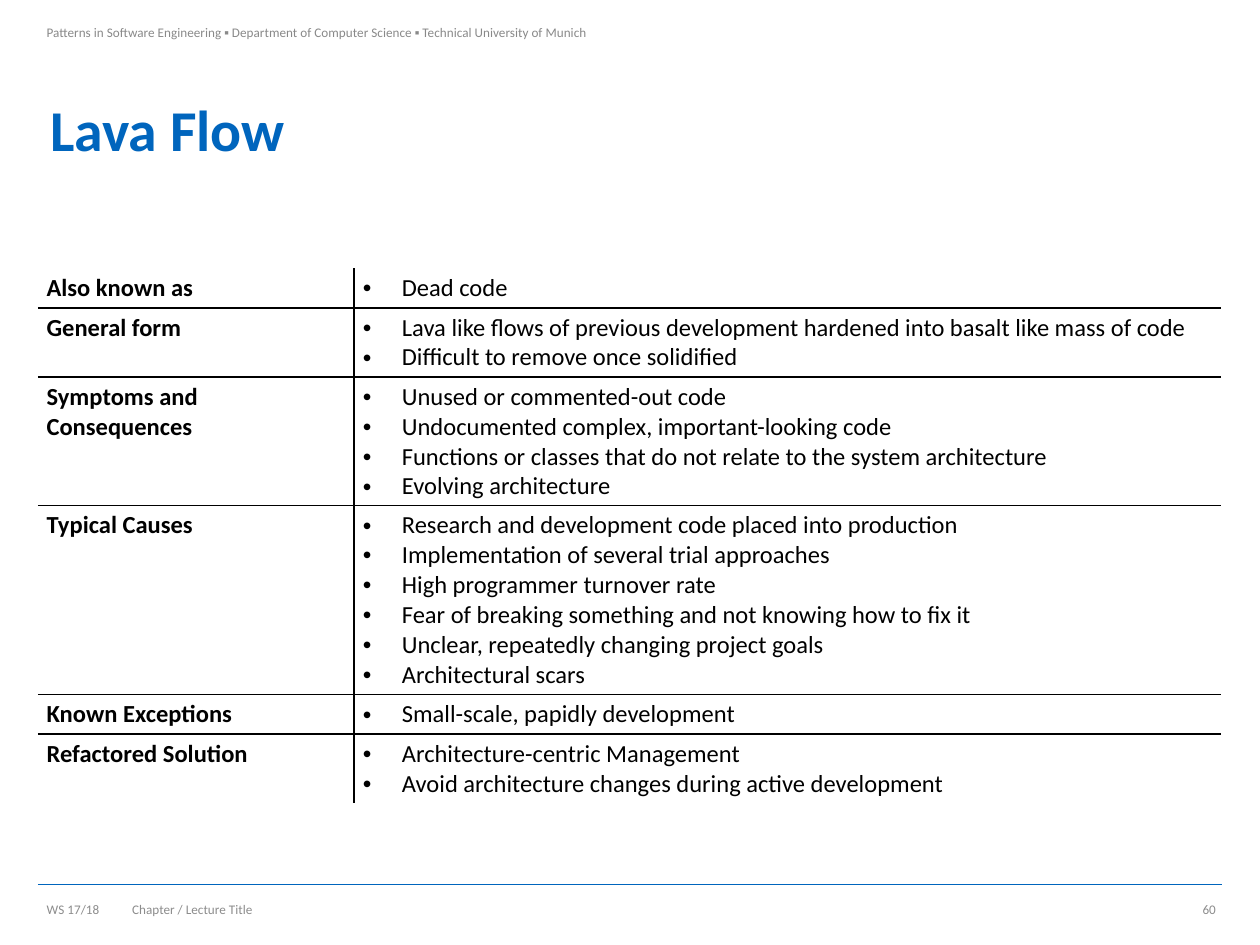
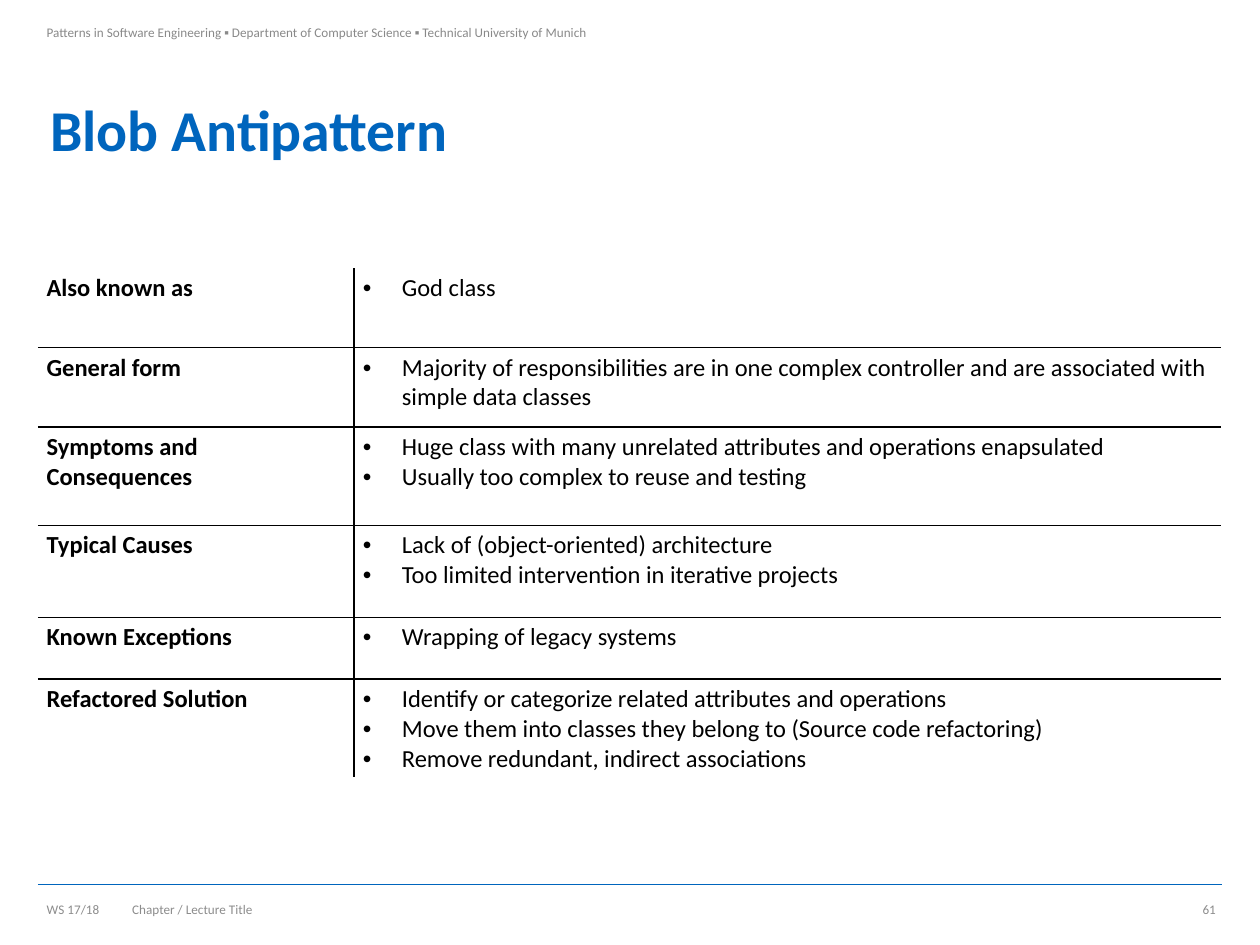
from dataclasses import dataclass
from typing import Any

from lxml.etree import SubElement
from pptx import Presentation
from pptx.dml.color import RGBColor
from pptx.enum.shapes import MSO_CONNECTOR
from pptx.enum.text import MSO_ANCHOR, PP_ALIGN
from pptx.oxml.ns import qn
from pptx.util import Inches, Pt

BLUE = RGBColor(0x00, 0x65, 0xBD)
BLACK = RGBColor(0x00, 0x00, 0x00)
HEADER_GRAY = RGBColor(0x89, 0x89, 0x89)
FOOTER_GRAY = RGBColor(0x8C, 0x8C, 0x8C)

FONT = "Calibri"
NO_STYLE = "{2D5ABB26-0587-4C30-8999-92F81FD0307C}"
LEFT, WIDTH = 0.3, 9.39
TABLE_TOP = 2.13
LABEL_WIDTH = 2.51
BULLET_INDENT = Inches(0.31)

SMALL = {"name": FONT, "size": Pt(7.5)}
TITLE = {"name": FONT, "size": Pt(33), "bold": True}
LABEL = {"name": FONT, "size": Pt(14), "bold": True}
ENTRY = {**LABEL, "bold": False}

ASPECTS = ["Also known as", "General form", "Symptoms and Consequences",
           "Typical Causes", "Known Exceptions", "Refactored Solution"]


@dataclass(frozen=True)
class TextBox:
    left: float
    top: float
    width: float
    height: float
    font: dict[str, Any]
    color: RGBColor
    margins: tuple[float, float, float, float] = (0.1, 0.05, 0.1, 0.05)
    anchor: MSO_ANCHOR = MSO_ANCHOR.MIDDLE
    align: PP_ALIGN = PP_ALIGN.LEFT
    line_spacing: float = 1.0


@dataclass(frozen=True)
class Antipattern:
    name: str
    number: int
    heights: list[float]
    entries: list[list[str]]


NARROW = (0.04, 0.05, 0.04, 0.05)
HEADER_BOX = TextBox(LEFT, 0, 4.7, 0.68, SMALL, HEADER_GRAY,
                     (0.07, 0.19, 0.1, 0.05), MSO_ANCHOR.TOP)
TITLE_BOX = TextBox(LEFT, 0.68, WIDTH, 0.74, TITLE, BLUE, line_spacing=0.9)
TERM_BOX = TextBox(LEFT, 7.1, 0.56, 0.23, SMALL, FOOTER_GRAY, NARROW,
                   align=PP_ALIGN.CENTER)
NUMBER_BOX = TextBox(9.25, 7.1, 0.44, 0.23, SMALL, FOOTER_GRAY, NARROW,
                     align=PP_ALIGN.RIGHT)
CHAPTER_BOX = TextBox(0.95, 7.1, 6.46, 0.24, SMALL, FOOTER_GRAY)

ANTIPATTERNS = [
    Antipattern("Lava Flow", 60, [0.31, 0.55, 1.02, 1.5, 0.31, 0.55], [
        ["Dead code"],
        ["Lava like flows of previous development hardened into basalt "
         "like mass of code",
         "Difficult to remove once solidified"],
        ["Unused or commented-out code",
         "Undocumented complex, important-looking code",
         "Functions or classes that do not relate to the system architecture",
         "Evolving architecture"],
        ["Research and development code placed into production",
         "Implementation of several trial approaches",
         "High programmer turnover rate",
         "Fear of breaking something and not knowing how to fix it",
         "Unclear, repeatedly changing project goals",
         "Architectural scars"],
        ["Small-scale, papidly development"],
        ["Architecture-centric Management",
         "Avoid architecture changes during active development"],
    ]),
    Antipattern("Blob Antipattern", 61, [0.63, 0.63, 0.78, 0.73, 0.49, 0.78], [
        ["God class"],
        ["Majority of responsibilities are in one complex controller and "
         "are associated with simple data classes"],
        ["Huge class with many unrelated attributes and operations enapsulated",
         "Usually too complex to reuse and testing"],
        ["Lack of (object-oriented) architecture",
         "Too limited intervention in iterative projects"],
        ["Wrapping of legacy systems"],
        ["Identify or categorize related attributes and operations",
         "Move them into classes they belong to (Source code refactoring)",
         "Remove redundant, indirect associations"],
    ]),
]


def apply(target: Any, values: dict[str, Any]) -> None:
    for key, value in values.items():
        setattr(target, key, value)


def margins(left: float, top: float, right: float, bottom: float) -> dict[str, Any]:
    return {"margin_left": Inches(left), "margin_top": Inches(top),
            "margin_right": Inches(right), "margin_bottom": Inches(bottom)}


def add_run(p: Any, text: str, font: dict[str, Any], color: RGBColor) -> None:
    r = p.add_run()
    r.text = text
    apply(r.font, font)
    r.font.color.rgb = color


def add_text(s: Any, box: TextBox, text: str) -> None:
    sp = s.shapes.add_textbox(Inches(box.left), Inches(box.top),
                              Inches(box.width), Inches(box.height))
    tf = sp.text_frame
    apply(tf, {"word_wrap": True, "vertical_anchor": box.anchor,
               **margins(*box.margins)})
    p = tf.paragraphs[0]
    apply(p, {"alignment": box.align, "line_spacing": box.line_spacing})
    add_run(p, text, box.font, box.color)


def add_rule(s: Any) -> None:
    line = s.shapes.add_connector(MSO_CONNECTOR.STRAIGHT, Inches(LEFT),
                                  Inches(7.02), Inches(9.7), Inches(7.02))
    line.line.color.rgb = BLUE
    line.line.width = Pt(0.5)
    SubElement(line.element.spPr, qn("a:effectLst"))


def add_bullet(p: Any) -> None:
    pPr = p._p.get_or_add_pPr()
    pPr.set("marL", str(BULLET_INDENT))
    pPr.set("indent", str(-BULLET_INDENT))
    SubElement(pPr, qn("a:buFont"), typeface="Arial")
    SubElement(pPr, qn("a:buChar"), char="•")


def set_borders(cell: Any, visible: dict[str, bool]) -> None:
    tcPr = cell._tc.get_or_add_tcPr()
    for side, shown in visible.items():
        ln = SubElement(tcPr, qn(f"a:ln{side}"), w=str(Pt(1)))
        if shown:
            fill = SubElement(ln, qn("a:solidFill"))
            SubElement(fill, qn("a:srgbClr"), val=str(BLACK))
        else:
            SubElement(ln, qn("a:noFill"))


def fill_cell(cell: Any, texts: list[str], is_label: bool) -> None:
    apply(cell, margins(0.07, 0.04, 0.07, 0.04))
    tf = cell.text_frame
    for i, text in enumerate(texts):
        p = tf.add_paragraph() if i else tf.paragraphs[0]
        if not is_label:
            add_bullet(p)
        add_run(p, text, LABEL if is_label else ENTRY, BLACK)


def add_aspect_table(s: Any, pattern: Antipattern) -> None:
    last = len(ASPECTS) - 1
    frame = s.shapes.add_table(len(ASPECTS), 2, Inches(LEFT), Inches(TABLE_TOP),
                               Inches(WIDTH), Inches(sum(pattern.heights)))
    for style in frame.element.iter(qn("a:tableStyleId")):
        style.text = NO_STYLE
    table = frame.table
    apply(table, {"first_row": False, "horz_banding": False})
    for column, width in zip(table.columns, (LABEL_WIDTH, WIDTH - LABEL_WIDTH)):
        column.width = Inches(width)
    rows = zip(ASPECTS, pattern.entries, pattern.heights)
    for i, (aspect, entries, height) in enumerate(rows):
        table.rows[i].height = Inches(height)
        for j, texts in enumerate(([aspect], entries)):
            cell = table.cell(i, j)
            fill_cell(cell, texts, is_label=j == 0)
            set_borders(cell, {"L": j == 1, "R": j == 0, "T": i > 0, "B": i < last})
            cell.fill.background()


def add_antipattern_slide(prs: Any, pattern: Antipattern) -> None:
    s = prs.slides.add_slide(prs.slide_layouts[6])
    add_rule(s)
    add_text(s, HEADER_BOX, "Patterns in Software Engineering ▪ Department of "
                            "Computer Science ▪ Technical University of Munich")
    add_text(s, TITLE_BOX, pattern.name)
    add_aspect_table(s, pattern)
    add_text(s, TERM_BOX, "WS 17/18")
    add_text(s, NUMBER_BOX, str(pattern.number))
    add_text(s, CHAPTER_BOX, "Chapter / Lecture Title")


prs = Presentation()
prs.slide_width, prs.slide_height = Inches(10), Inches(7.5)
for pattern in ANTIPATTERNS:
    add_antipattern_slide(prs, pattern)
prs.save("out.pptx")
